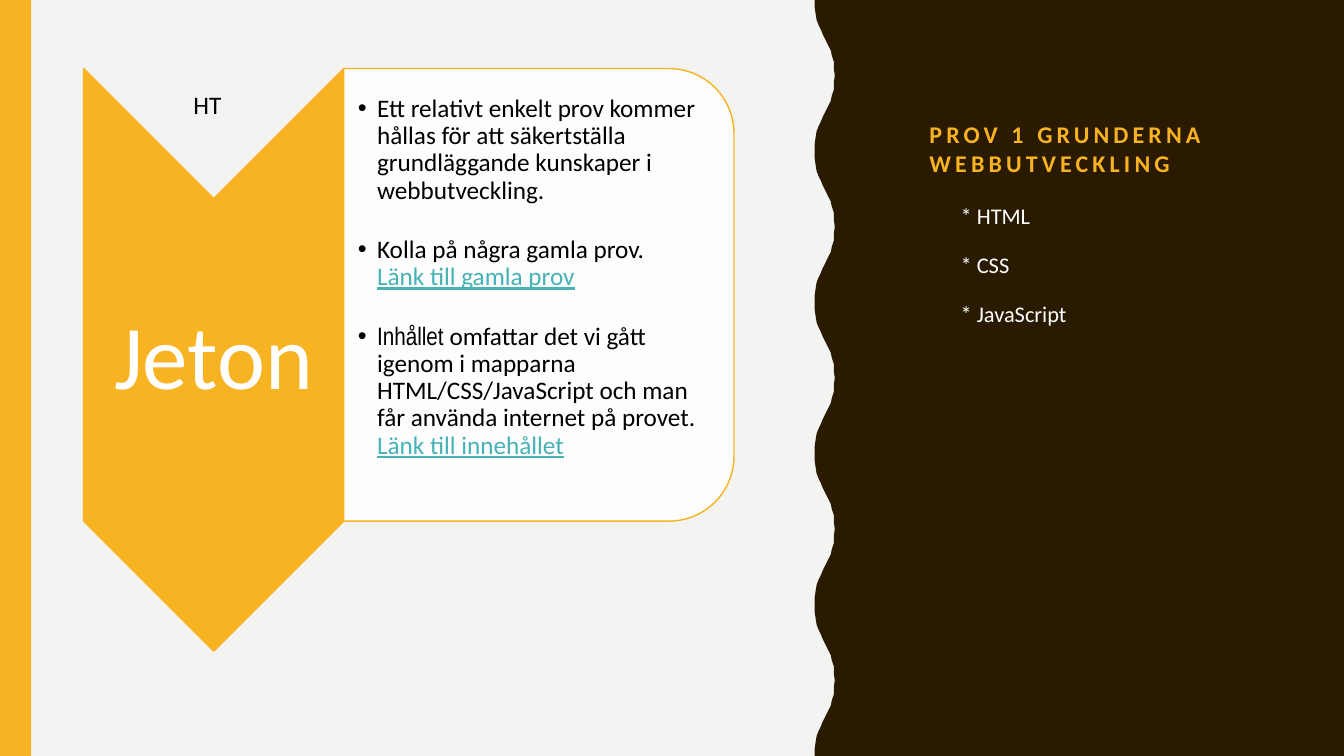
from lxml import etree
from pptx import Presentation
from pptx.dml.color import RGBColor
from pptx.enum import shapes, text
from pptx.oxml import ns
from pptx.util import Inches, Pt

# Content
TITLE = "PROV 1 GRUNDERNA WEBBUTVECKLING"
TOPICS = ["* HTML", "* CSS", "* JavaScript"]
TERM = "HT"
TEACHER = "Jeton"
# Each point: pieces of (text, style); a link starts on its own line
POINTS = [
    [("Ett relativt enkelt prov kommer hållas för att säkertställa "
      "grundläggande kunskaper i webbutveckling.", "plain")],
    [("Kolla på några gamla prov.", "plain"),
     ("Länk till gamla prov", "link")],
    [("Inhållet ", "narrow"),
     ("omfattar det vi gått igenom i mapparna HTML/CSS/JavaScript "
      "och man får använda internet på provet.", "plain"),
     ("Länk till innehållet", "link")],
]

# Look
FONT, NARROW_FONT = "Calibri", "Arial Narrow"
PAPER = RGBColor(0xF3, 0xF3, 0xF2)
BROWN = RGBColor(0x2A, 0x1A, 0x00)
AMBER = RGBColor(0xF8, 0xB3, 0x23)
TEAL = RGBColor(0x46, 0xB2, 0xB5)
WHITE = RGBColor(0xFF, 0xFF, 0xFF)
BLACK = RGBColor(0, 0, 0)

# Wavy edge: (distance down, x) from one trough to the next crest
WAVE_PERIOD, WAVE_COUNT = 1.5, 5
HALF_WAVE = [(0, 8.08), (0.07, 8.08), (0.14, 8.09), (0.2, 8.1), (0.25, 8.12),
             (0.29, 8.14), (0.34, 8.16), (0.38, 8.18), (0.42, 8.2),
             (0.46, 8.22), (0.5, 8.24), (0.55, 8.25), (0.61, 8.27),
             (0.68, 8.27), (0.75, 8.28)]

prs = Presentation()
prs.slide_width, prs.slide_height = Inches(13.33), Inches(7.5)
slide = prs.slides.add_slide(prs.slide_layouts[6])
slide.background.fill.solid()
slide.background.fill.fore_color.rgb = PAPER


def paint(shape, fill, line=None):
    shape.shadow.inherit = False
    shape.fill.solid()
    shape.fill.fore_color.rgb = fill
    if line is None:
        shape.line.fill.background()
    else:
        shape.line.color.rgb = line
        shape.line.width = Pt(1)


def add_preset(kind, box, fill, line=None, rotation=0):
    shape = slide.shapes.add_shape(kind, *map(Inches, box))
    shape.rotation = rotation
    paint(shape, fill, line)
    return shape


def add_text(box, anchor=text.MSO_ANCHOR.TOP, margins=(0.1, 0.05, 0.1, 0.05),
             wrap=True):
    frame = slide.shapes.add_textbox(*map(Inches, box)).text_frame
    frame.word_wrap = wrap
    frame.vertical_anchor = anchor
    (frame.margin_left, frame.margin_top,
     frame.margin_right, frame.margin_bottom) = map(Inches, margins)
    return frame


def style(run, size, color, font=FONT):
    run.font.size = Pt(size)
    run.font.name = font
    run.font.color.rgb = color


def indent(paragraph, left, first=0):
    props = paragraph._p.get_or_add_pPr()
    props.set("marL", str(Inches(left)))
    props.set("indent", str(Inches(first)))
    return props


# Brown panel with wavy edge
period = HALF_WAVE + [(WAVE_PERIOD - dy, x) for dy, x in HALF_WAVE[-2:0:-1]]
edge = [(x, n * WAVE_PERIOD + dy) for n in range(WAVE_COUNT) for dy, x in period]
edge.append((8.08, 7.5))
outline = slide.shapes.build_freeform(Inches(13.33), Inches(0))
outline.add_line_segments(
    [(Inches(x), Inches(y)) for x, y in [(13.33, 7.5)] + edge[::-1]])
paint(outline.convert_to_shape(), BROWN)

# Amber side bar
add_preset(shapes.MSO_SHAPE.RECTANGLE, (0, 0, 0.31, 7.5), AMBER)

# Title and topics on the panel
title = add_text((9.12, 0.5, 3.38, 1.31), text.MSO_ANCHOR.BOTTOM)
title.text = TITLE
title_run = title.paragraphs[0].runs[0]
style(title_run, 17.1, AMBER)
title_run.font.bold = True
title_run._r.get_or_add_rPr().set("spc", "300")

topics = add_text((9.12, 1.9, 3.38, 4.55))
topics.text = "\n".join(TOPICS)
for topic in topics.paragraphs:
    indent(topic, 0.31)
    topic.line_spacing = 1.2
    topic.space_before = Pt(12)
    style(topic.runs[0], 16, WHITE)

# Chevron with the teacher's name
add_preset(shapes.MSO_SHAPE.CHEVRON, (-0.77, 2.28, 5.78, 2.58), AMBER, AMBER, 90)
teacher = add_text((0.83, 1.97, 2.58, 3.2), text.MSO_ANCHOR.MIDDLE, (0.05,) * 4)
teacher.text = TEACHER
teacher.paragraphs[0].alignment = text.PP_ALIGN.CENTER
teacher.paragraphs[0].line_spacing = 0.9
style(teacher.paragraphs[0].runs[0], 65, WHITE)

# Card with the points
card = add_preset(shapes.MSO_SHAPE.ROUND_2_SAME_RECTANGLE,
                  (3.1, 0.99, 4.49, 3.87), WHITE, AMBER, 90)
card_color = card._element.spPr.find(ns.qn("a:solidFill"))[0]
etree.SubElement(card_color, ns.qn("a:alpha")).set("val", "90000")

points = add_text((3.41, 0.87, 3.68, 4.11), margins=(0.14, 0.08, 0.01, 0.01))
STYLES = {"plain": (BLACK, FONT), "narrow": (BLACK, NARROW_FONT),
          "link": (TEAL, FONT)}
for number, pieces in enumerate(POINTS):
    point = points.add_paragraph() if number else points.paragraphs[0]
    point.line_spacing = 0.9
    point.space_after = Pt(23)
    props = indent(point, 0.19, -0.19)
    etree.SubElement(props, ns.qn("a:buFont")).set("typeface", "Arial")
    etree.SubElement(props, ns.qn("a:buChar")).set("char", "•")
    for words, look in pieces:
        if look == "link":
            point.add_line_break()
        run = point.add_run()
        run.text = words
        style(run, 18, *STYLES[look])
        run.font.underline = look == "link"

# Term label in the chevron's notch
term = add_text((1.82, 0.84, 0.54, 0.4), wrap=False)
term.auto_size = text.MSO_AUTO_SIZE.SHAPE_TO_FIT_TEXT
term.text = TERM
style(term.paragraphs[0].runs[0], 18, BLACK)

prs.save("out.pptx")
